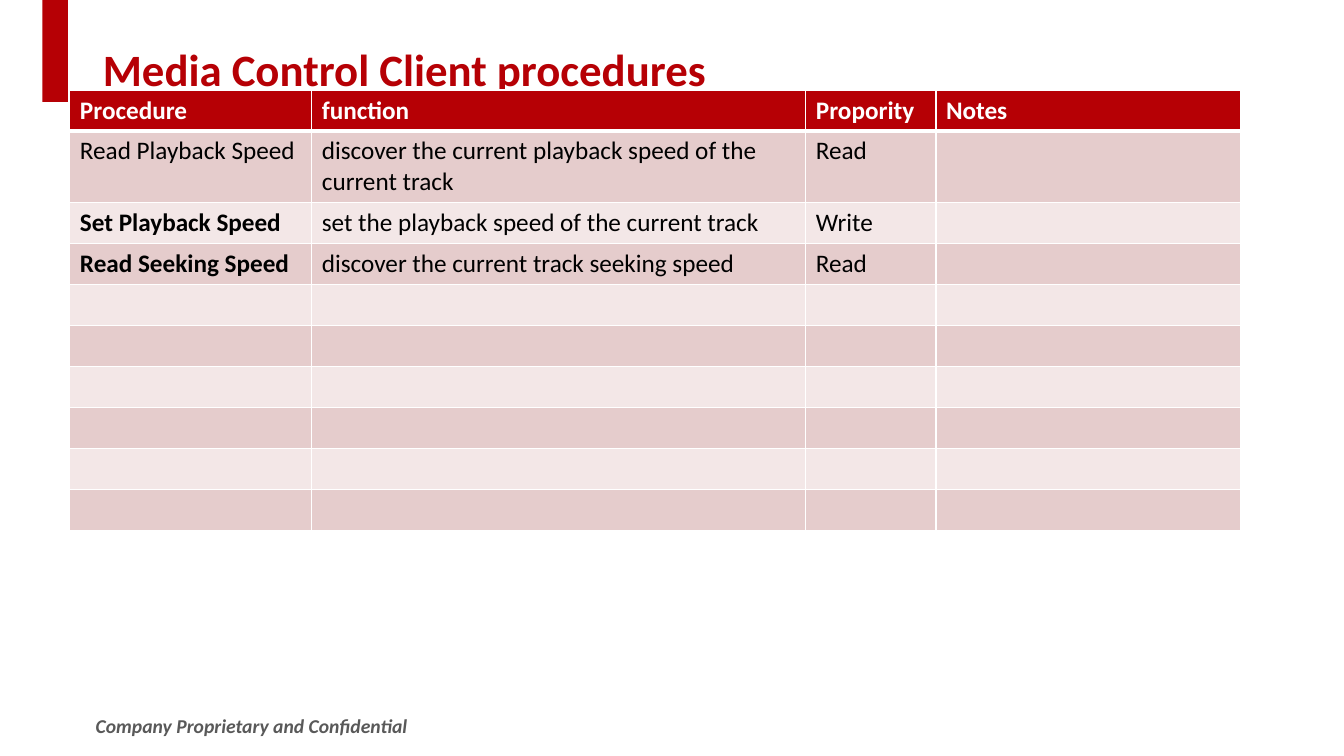
from lxml.etree import SubElement
from pptx import Presentation
from pptx.dml.color import RGBColor
from pptx.enum.shapes import MSO_SHAPE
from pptx.enum.text import MSO_ANCHOR, PP_ALIGN
from pptx.oxml.ns import qn
from pptx.util import Inches, Pt

RED = RGBColor(0xB6, 0x00, 0x05)
ROSE = RGBColor(0xE5, 0xCC, 0xCC)
BLUSH = RGBColor(0xF3, 0xE7, 0xE7)
GREY = RGBColor(0x59, 0x59, 0x59)
BLACK = RGBColor(0x00, 0x00, 0x00)
WHITE = RGBColor(0xFF, 0xFF, 0xFF)

HEADINGS = ["Procedure", "function", "Propority", "Notes"]
PROCEDURES = [
    ["Read Playback Speed", "discover the current playback speed of the current track", "Read", ""],
    ["Set Playback Speed", "set the playback speed of the current track", "Write", ""],
    ["Read Seeking Speed", "discover the current track seeking speed", "Read", ""],
]
BOLD_PROCEDURES = {"Set Playback Speed", "Read Seeking Speed"}
SPARE_ROWS = 6
COLUMN_SHARES = [18, 36.76, 9.68, 22.66]
ROW_SHARE = 5.42
WRAPPED_ROW_SHARE = 9.5


def write(frame, text, size=18, color=BLACK, bold=False, italic=False, spacing=None):
    paragraph = frame.paragraphs[0]
    paragraph.alignment = PP_ALIGN.LEFT
    paragraph.line_spacing = spacing
    target = paragraph
    if text:
        target = paragraph.add_run()
        target.text = text
    font = target.font
    font.name = "Calibri"
    font.size = Pt(size)
    font.color.rgb = color
    font.bold = bold
    font.italic = italic


class ProcedureSlide:
    def __init__(self, deck):
        self.deck = deck
        self.slide = deck.slides.add_slide(deck.slide_layouts[5])

    def across(self, percent):
        return round(self.deck.slide_width * percent / 100)

    def down(self, percent):
        return round(self.deck.slide_height * percent / 100)

    def area(self, left, top, width, height):
        return self.across(left), self.down(top), self.across(width), self.down(height)

    def title(self, text, *shares):
        heading = self.slide.shapes.title
        heading.left, heading.top, heading.width, heading.height = self.area(*shares)
        heading.text_frame.vertical_anchor = MSO_ANCHOR.MIDDLE
        write(heading.text_frame, text, size=32, color=RED, bold=True, spacing=0.9)

    def bar(self, *shares):
        accent = self.slide.shapes.add_shape(MSO_SHAPE.RECTANGLE, *self.area(*shares))
        accent.shadow.inherit = False
        accent.fill.solid()
        accent.fill.fore_color.rgb = RED
        accent.line.fill.background()

    def footer(self, text, *shares):
        notice = self.slide.shapes.add_textbox(*self.area(*shares))
        notice.text_frame.word_wrap = True
        write(notice.text_frame, text, size=14, color=GREY, bold=True, italic=True)

    def border(self, cell, bottom):
        properties = cell._tc.get_or_add_tcPr()
        edges = {"a:lnL": 1, "a:lnR": 1, "a:lnT": 1, "a:lnB": bottom}
        for position, (edge, points) in enumerate(edges.items()):
            line = SubElement(properties, qn(edge), w=str(Pt(points)))
            fill = SubElement(line, qn("a:solidFill"))
            SubElement(fill, qn("a:srgbClr"), val=str(WHITE))
            properties.insert(position, line)

    def cell(self, cell, text, fill, bottom=1, **style):
        cell.fill.solid()
        cell.fill.fore_color.rgb = fill
        self.border(cell, bottom)
        write(cell.text_frame, text, **style)

    def table(self, rows, left, top):
        heights = [ROW_SHARE] * len(rows)
        heights[1] = WRAPPED_ROW_SHARE
        shares = self.area(left, top, sum(COLUMN_SHARES), sum(heights))
        grid = self.slide.shapes.add_table(len(rows), len(COLUMN_SHARES), *shares).table
        for column, share in zip(grid.columns, COLUMN_SHARES):
            column.width = self.across(share)
        for number, (row, share, texts) in enumerate(zip(grid.rows, heights, rows)):
            row.height = self.down(share)
            for cell, text in zip(row.cells, texts):
                if number == 0:
                    self.cell(cell, text, RED, bottom=3, color=WHITE, bold=True)
                else:
                    band = ROSE if number % 2 else BLUSH
                    self.cell(cell, text, band, bold=text in BOLD_PROCEDURES)


def main():
    deck = Presentation()
    deck.slide_width, deck.slide_height = Inches(13.33), Inches(7.5)
    page = ProcedureSlide(deck)
    page.bar(3.15, 0, 1.9, 13.5)
    page.footer("Company Proprietary and Confidential", 6.38, 93.73, 32.5, 4.5)
    page.title("Media Control Client procedures", 6.9, 5.33, 86.27, 8.27)
    spare = [[""] * len(HEADINGS) for _ in range(SPARE_ROWS)]
    page.table([HEADINGS] + PROCEDURES + spare, 5.2, 11.9)
    deck.save("out.pptx")


if __name__ == "__main__":
    main()
